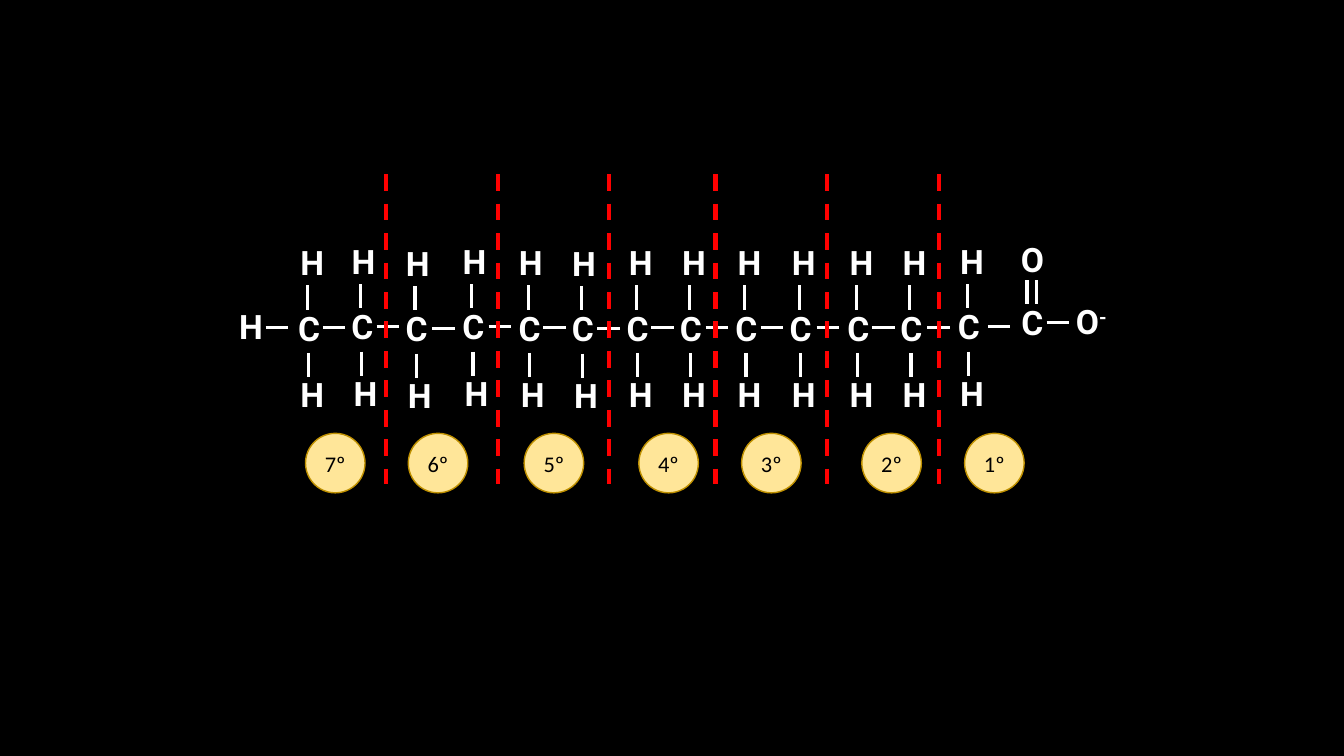
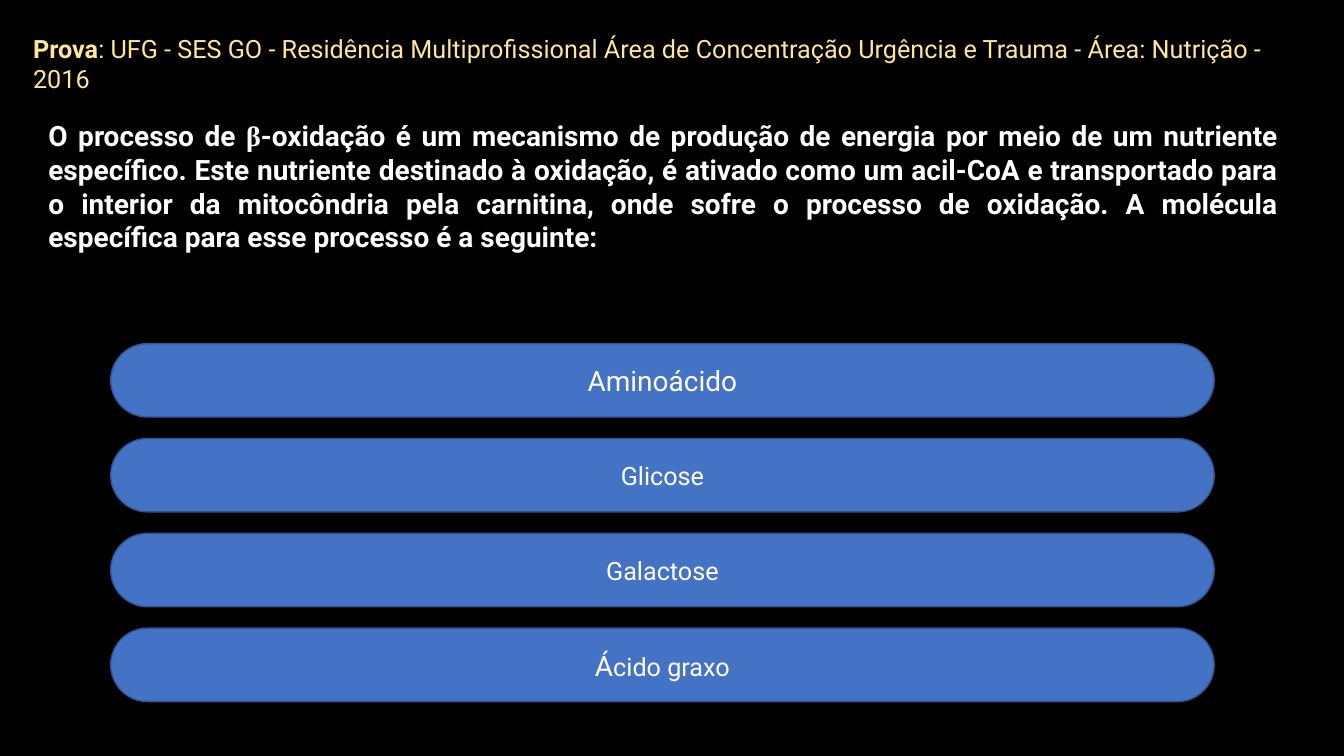
from itertools import pairwise

from lxml.etree import SubElement
from pptx import Presentation
from pptx.dml.color import RGBColor
from pptx.enum.dml import MSO_LINE
from pptx.enum.shapes import MSO_CONNECTOR, MSO_SHAPE
from pptx.enum.text import MSO_ANCHOR, MSO_AUTO_SIZE, PP_ALIGN
from pptx.oxml.ns import qn
from pptx.util import Cm, Pt

COLORS = {
    "background": "000000", "white": "FFFFFF", "black": "000000",
    "divider": "FF0000", "cream": "FFE699", "gold": "BF9000",
    "option": "4472C4", "option_edge": "325491",
}
ATOM = {"name": "Roboto", "size": Pt(24), "bold": True}
ROUND = {"name": "Calibri", "size": Pt(16)}
SOURCE = {"name": "Roboto", "size": Pt(18), "bold": False}
QUESTION = {"name": "Roboto", "size": Pt(20), "bold": True}
OPTION = {"name": "Roboto", "size": Pt(18)}
LARGE_OPTION = OPTION | {"size": Pt(20)}

GROWING = {"word_wrap": True, "auto_size": MSO_AUTO_SIZE.SHAPE_TO_FIT_TEXT,
           "vertical_anchor": MSO_ANCHOR.TOP}
CENTERED = {"vertical_anchor": MSO_ANCHOR.MIDDLE, "margin_left": 0,
            "margin_right": 0, "margin_top": 0, "margin_bottom": 0}

# Centres of the chain carbons and of the carboxyl carbon, in cm
CARBONS = [
    (7.79, 8.26), (9.13, 8.23), (10.5, 8.28), (11.93, 8.23), (13.35, 8.26),
    (14.69, 8.28), (16.07, 8.26), (17.41, 8.26), (18.81, 8.26), (20.18, 8.26),
    (21.63, 8.26), (22.97, 8.26), (24.42, 8.23),
]
CARBOXYL = (26.02, 8.13)
FIRST_HYDROGEN = (6.25, 8.23)
ATOM_WIDTHS = {"H": 0.94, "C": 1.24, "O": 1.4}
ATOM_HEIGHT = 1.27
BOND_LENGTH = 0.57
UPPER_BOND = (-1.07, -0.46)
LOWER_BOND = (0.63, 1.24)

DIVIDERS = [9.73, 12.55, 15.34, 18.03, 20.85, 23.67]
ROUNDS = [7.7, 10.29, 13.21, 16.1, 18.69, 21.72, 24.31]


def rgb(color):
    return RGBColor.from_string(COLORS[color])


def set_all(target, values):
    for attribute, value in values.items():
        setattr(target, attribute, value)


def write(frame, runs, color, align, layout):
    """Fill the frame's only paragraph with (text, font values) runs."""
    set_all(frame, layout)
    paragraph = frame.paragraphs[0]
    paragraph.alignment = align
    for text, font_values in runs:
        run = paragraph.add_run()
        run.text = text
        set_all(run.font, font_values)
        run.font.color.rgb = rgb(color)
    return paragraph


def add_text(shapes, box, runs, align):
    frame = shapes.add_textbox(*map(Cm, box)).text_frame
    return write(frame, runs, "white", align, GROWING)


def add_line(shapes, start, end, color="white", width=2.25, dash=None):
    line = shapes.add_connector(MSO_CONNECTOR.STRAIGHT, *map(Cm, start + end))
    line.line.color.rgb = rgb(color)
    set_all(line.line, {"width": Pt(width), "dash_style": dash})
    SubElement(line._element.spPr, qn("a:effectLst"))


def add_label_shape(slide, kind, box, fill, edge, runs, color):
    shape = slide.shapes.add_shape(kind, *map(Cm, box))
    shape.shadow.inherit = False
    shape.fill.solid()
    shape.fill.fore_color.rgb = rgb(fill)
    shape.line.color.rgb = rgb(edge)
    shape.line.width = Pt(1)
    write(shape.text_frame, runs, color, PP_ALIGN.CENTER, CENTERED)
    return shape


def add_atom(shapes, symbol, x, y):
    width = ATOM_WIDTHS[symbol]
    box = (x - width / 2, y - ATOM_HEIGHT / 2, width, ATOM_HEIGHT)
    add_text(shapes, box, [(symbol, ATOM)], PP_ALIGN.CENTER)


def add_side_bond(shapes, left, right):
    """Draw a short level bond midway between two atoms."""
    x = (left[0] + right[0] - BOND_LENGTH) / 2 - 0.04
    y = right[1] if left == FIRST_HYDROGEN else left[1]
    add_line(shapes, (x, y), (x + BOND_LENGTH, y))


def add_vertical_bond(shapes, x, y, span):
    add_line(shapes, (x, y + span[0]), (x, y + span[1]))


def add_methylene(shapes, x, y, upper_shift):
    """Draw a carbon with one hydrogen above and one below."""
    add_atom(shapes, "C", x, y)
    add_vertical_bond(shapes, x - 0.04, y, UPPER_BOND)
    add_atom(shapes, "H", x + upper_shift, y - 1.65)
    add_vertical_bond(shapes, x - 0.01, y, LOWER_BOND)
    add_atom(shapes, "H", x, y + 1.68)


def add_fatty_acid(slide):
    shapes = slide.shapes.add_group_shape().shapes
    add_atom(shapes, "H", *FIRST_HYDROGEN)
    for number, (x, y) in enumerate(CARBONS, 1):
        add_methylene(shapes, x, y, -0.05 if 2 <= number <= 6 else 0)
    x, y = CARBOXYL
    add_atom(shapes, "C", x, y)
    add_atom(shapes, "O", x, y - 1.6)
    for shift in (-0.14, 0.09):
        add_vertical_bond(shapes, x + shift, y, UPPER_BOND)
    oxide = (27.38, 8.1)
    for left, right in pairwise([FIRST_HYDROGEN, *CARBONS, CARBOXYL, oxide]):
        add_side_bond(shapes, left, right)

    charged = add_text(slide.shapes, (26.64, 7.47, 1.73, ATOM_HEIGHT),
                       [("O", ATOM), ("-", ATOM)], PP_ALIGN.CENTER)
    charged.runs[1]._r.get_or_add_rPr().set("baseline", "30000")


def build_chain_slide(prs):
    slide = prs.slides.add_slide(prs.slide_layouts[6])
    add_fatty_acid(slide)
    for x in DIVIDERS:
        add_line(slide.shapes, (x, 4.39), (x, 12.19), "divider", 3, MSO_LINE.DASH)
    for index, left in enumerate(ROUNDS):
        label = f"{len(ROUNDS) - index}º"
        add_label_shape(slide, MSO_SHAPE.OVAL, (left, 10.92, 1.5, 1.5),
                        "cream", "gold", [(label, ROUND)], "black")


def build_question_slide(prs):
    slide = prs.slides.add_slide(prs.slide_layouts[5])
    title = slide.shapes.title
    set_all(title, {"left": Cm(0.58), "top": Cm(0.71),
                    "width": Cm(31.85), "height": Cm(1.02)})
    exam = (": UFG - SES GO - Residência Multiprofissional Área de Concentração "
            "Urgência e Trauma - Área: Nutrição - 2016")
    write(title.text_frame, [("Prova", SOURCE | {"bold": True}), (exam, SOURCE)],
          "cream", PP_ALIGN.LEFT, GROWING)

    question = [
        ("O processo de ", QUESTION),
        ("β", QUESTION | {"name": "Times New Roman"}),
        ("-oxidação é um mecanismo de produção de energia por meio de um nutriente "
         "específico. Este nutriente destinado à oxidação, é ativado como um acil-CoA "
         "e transportado para o interior da mitocôndria pela carnitina, onde sofre o "
         "processo de oxidação. A molécula específica para esse processo é a seguinte:",
         QUESTION),
    ]
    add_text(slide.shapes, (0.97, 2.87, 31.5, 3.68), question, PP_ALIGN.JUSTIFY)

    options = [
        [("Aminoácido", LARGE_OPTION)],
        [("Glicose", OPTION)],
        [("Galactose", OPTION)],
        [("Á", LARGE_OPTION), ("cido graxo", OPTION)],
    ]
    for index, runs in enumerate(options):
        box = (2.79, 8.66 + 2.39 * index, 27.81, 1.85)
        pill = add_label_shape(slide, MSO_SHAPE.ROUNDED_RECTANGLE, box,
                               "option", "option_edge", runs, "white")
        pill.adjustments[0] = 0.5


def main():
    prs = Presentation()
    set_all(prs, {"slide_width": Cm(33.87), "slide_height": Cm(19.05)})
    background = prs.slide_master.background.fill
    background.solid()
    background.fore_color.rgb = rgb("background")
    build_chain_slide(prs)
    build_question_slide(prs)
    prs.save("out.pptx")


if __name__ == "__main__":
    main()
